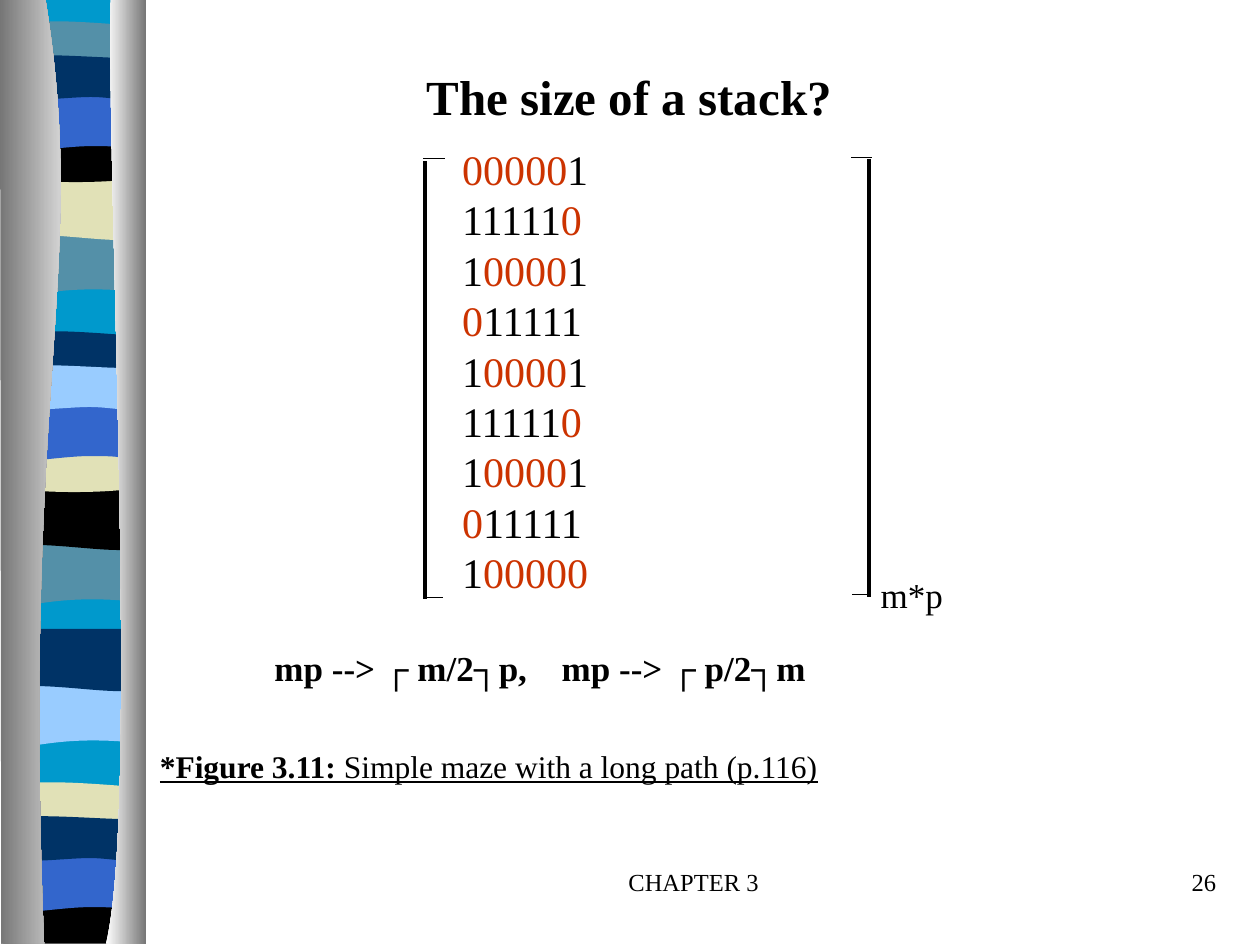
from itertools import groupby
from lxml.etree import SubElement
from pptx import Presentation
from pptx.dml.color import RGBColor
from pptx.enum.shapes import MSO_CONNECTOR
from pptx.enum.text import MSO_ANCHOR, MSO_AUTO_SIZE, PP_ALIGN
from pptx.oxml.ns import qn
from pptx.util import Inches, Pt

BLACK, RED, AQUA, TEAL = "000000", "CC3300", "0099CC", "5490A8"
SAND, BLUE, NAVY, SKY = "E1E1B7", "3366CC", "003366", "99CCFF"
GREY, WHITE = "767676", "FFFFFF"


def tint(code):
    return RGBColor.from_string(code)


def bend(shape, path):
    track = next(shape._element.iter(qn("a:path")))
    lines = iter(track.findall(qn("a:lnTo")))
    for seg in path[1:]:
        first = next(lines)
        if len(seg) == 6:
            first.tag = qn("a:cubicBezTo")
            for _ in range(2):
                extra = next(lines)
                first.append(extra[0])
                track.remove(extra)


class Deck:
    face = "Times New Roman"
    cols, rows = 10, 7.5

    def __init__(self):
        self.show = Presentation()
        self.show.slide_width, self.show.slide_height = Inches(10), Inches(7.5)
        self.slide = self.show.slides.add_slide(self.show.slide_layouts[5])
        self.shapes = self.slide.shapes

    def x(self, col):
        return round(self.show.slide_width * col / self.cols)

    def y(self, row):
        return round(self.show.slide_height * row / self.rows)

    def place(self, box):
        left, top, wide, high = box
        return self.x(left), self.y(top), self.x(wide), self.y(high)

    def fill(self, frame, lines, align=PP_ALIGN.LEFT, wrap=True, pitch=None, tab=None, **style):
        setup = {"word_wrap": wrap, "auto_size": MSO_AUTO_SIZE.NONE,
                 "vertical_anchor": MSO_ANCHOR.TOP}
        for name, value in setup.items():
            setattr(frame, name, value)
        for num, runs in enumerate(lines):
            para = frame.add_paragraph() if num else frame.paragraphs[0]
            para.alignment = align
            if pitch:
                para.line_spacing = Pt(pitch)
            if tab:
                stops = SubElement(para._p.get_or_add_pPr(), qn("a:tabLst"))
                SubElement(stops, qn("a:tab"), pos=str(self.x(tab)), algn="l")
            for words, extra in runs:
                run = para.add_run()
                run.text = words
                look = {"name": self.face, "color": BLACK, **style, **extra}
                run.font.color.rgb = tint(look.pop("color"))
                for name, value in look.items():
                    setattr(run.font, name, value)

    def title(self, words, box, **style):
        head = self.shapes.title
        head.left, head.top, head.width, head.height = self.place(box)
        self.fill(head.text_frame, [[(words, {})]], PP_ALIGN.CENTER, **style)

    def text(self, lines, box, **style):
        self.fill(self.shapes.add_textbox(*self.place(box)).text_frame, lines, **style)

    def line(self, start, end, width):
        edge = self.shapes.add_connector(
            MSO_CONNECTOR.STRAIGHT, self.x(start[0]), self.y(start[1]),
            self.x(end[0]), self.y(end[1]))
        edge.line.color.rgb = tint(BLACK)
        edge.line.width = Pt(width)
        SubElement(edge._element.spPr, qn("a:effectLst"))

    def outline(self, path, *colors, shift=(0, 0)):
        path = path + path[:1]
        spots = [(self.x(seg[at] + shift[0]), self.y(seg[at + 1] + shift[1]))
                 for seg in path for at in range(0, len(seg), 2)]
        pen = self.shapes.build_freeform(*spots[0], scale=1.0)
        pen.add_line_segments(spots[1:], close=True)
        shape = pen.convert_to_shape()
        bend(shape, path)
        shape.shadow.inherit = False
        shape.line.fill.background()
        if len(colors) == 1:
            shape.fill.solid()
            shape.fill.fore_color.rgb = tint(colors[0])
        else:
            shape.fill.gradient()
            shape.fill.gradient_angle = 0
            for stop, code, spot in zip(shape.fill.gradient_stops, colors, (0, 1)):
                stop.color.rgb, stop.position = tint(code), spot


BANDS = {
    "hill": [(1.14, 1.85), (1.14, 1.85, 1.14, 2.32, 1.14, 2.32),
             (0.39, 2.24, 0.24, 2.4, 0.06, 2.32), (0.06, 1.85)],
    "wave": [(1.14, 1.41), (1.14, 1.88), (0.96, 1.96, 0.39, 1.82, 0.06, 1.88), (0.06, 1.41)],
    "thin": [(1.14, 0.21), (1.14, 0.45), (0.96, 0.49, 0.24, 0.49, 0.06, 0.45), (0.06, 0.21),
             (0.12, 0.16, 0.29, 0.17, 0.47, 0.17), (0.65, 0.17, 1, 0.2, 1.14, 0.21)],
    "bowl": [(1.14, 1.08), (1.14, 1.4), (0.96, 1.46, 0.24, 1.46, 0.06, 1.4), (0.06, 1.08),
             (0.72, 1.13, 0.91, 1.08, 1.14, 1.08)],
    "base": [(1.14, 1.08), (1.14, 1.45), (0.07, 1.45), (0.06, 1.08),
             (0.72, 1.13, 0.91, 1.08, 1.14, 1.08)],
    "arch": [(1.14, 0.74), (1.14, 0.74, 1.14, 1.21, 1.14, 1.21),
             (0.97, 1.16, 0.9, 1.16, 0.72, 1.16), (0.54, 1.16, 0.22, 1.21, 0.06, 1.21),
             (0.06, 0.74)],
    "flag": [(1.14, 0.46), (1.14, 0.77), (1.07, 0.82, 0.9, 0.77, 0.72, 0.77),
             (0.54, 0.77, 0.17, 0.82, 0.06, 0.77), (0.06, 0.46),
             (0.21, 0.41, 0.79, 0.46, 0.97, 0.46), (1.15, 0.46, 1.1, 0.46, 1.14, 0.46)],
}
SETS = [
    ((0, 0), {"hill": TEAL, "wave": SAND, "thin": TEAL, "bowl": BLACK, "arch": BLUE, "flag": NAVY}),
    ((-0.01, 2.46), {"hill": TEAL, "wave": BLACK, "thin": NAVY, "bowl": SAND, "arch": BLUE,
                     "flag": SKY}),
    ((0, 3.58), {"hill": SKY, "wave": NAVY}),
    ((-0.01, 6.04), {"thin": SAND, "base": BLACK, "arch": BLUE, "flag": NAVY}),
]
MAZE = ["000001", "111110", "100001", "011111", "100001", "111110", "100001", "011111", "100000"]
BRACKETS = [
    ((3.37, 1.28), (3.37, 4.75), 2.25), ((3.36, 1.26), (3.53, 1.26), 0.75),
    ((3.37, 4.74), (3.52, 4.74), 0.75), ((6.9, 1.26), (6.9, 4.74), 2.25),
    ((6.92, 1.25), (6.75, 1.25), 0.75), ((6.9, 4.72), (6.76, 4.72), 0.75),
]


def main():
    deck = Deck()
    deck.outline([(1.14, -0.01), (1.14, 7.47), (0.06, 7.47), (0.06, -0.01)], AQUA)
    for shift, bands in SETS:
        for name, color in bands.items():
            deck.outline(BANDS[name], color, shift=shift)
    deck.outline([(0.36, -0.01), (0.71, 2.16, 0.17, 2.96, 0.35, 7.49), (0.01, 7.49),
                  (0, -0.01)], GREY, WHITE)
    deck.outline([(0.88, -0.01), (0.84, 1.25, 1.11, 6.46, 0.84, 7.49), (1.16, 7.49),
                  (1.16, 0)], WHITE, GREY)

    deck.title("The size of a stack?", (3.19, 0.48, 3.61, 0.57), size=Pt(28), bold=True)
    rows = [[("".join(part), {"color": RED if digit == "0" else BLACK})
             for digit, part in groupby(row)] for row in MAZE]
    deck.text(rows, (3.57, 1.09, 3.18, 3.7), size=Pt(24), pitch=28.8)
    for start, end, width in BRACKETS:
        deck.line(start, end, width)
    deck.text([[("*Figure 3.11: ", {"bold": True}), ("Simple maze with a long path (p.116)", {})]],
              (1.17, 5.88, 5.45, 0.4), wrap=False, size=Pt(18), underline=True)
    deck.text([[("m*p", {})]], (6.89, 4.5, 0.69, 0.44), wrap=False, size=Pt(20))
    deck.text([[("mp --> ┌ m/2┐p,\tmp --> ┌ p/2┐m", {})]], (2.08, 5.08, 4.42, 0.44),
              wrap=False, tab=2.28, size=Pt(20), bold=True)
    deck.text([[("CHAPTER 3", {})]], (3.92, 6.83, 3.17, 0.5), align=PP_ALIGN.CENTER, size=Pt(14))
    deck.text([[("26", {})]], (7.67, 6.83, 2.08, 0.5), align=PP_ALIGN.RIGHT, size=Pt(14))
    deck.show.save("out.pptx")


if __name__ == "__main__":
    main()
